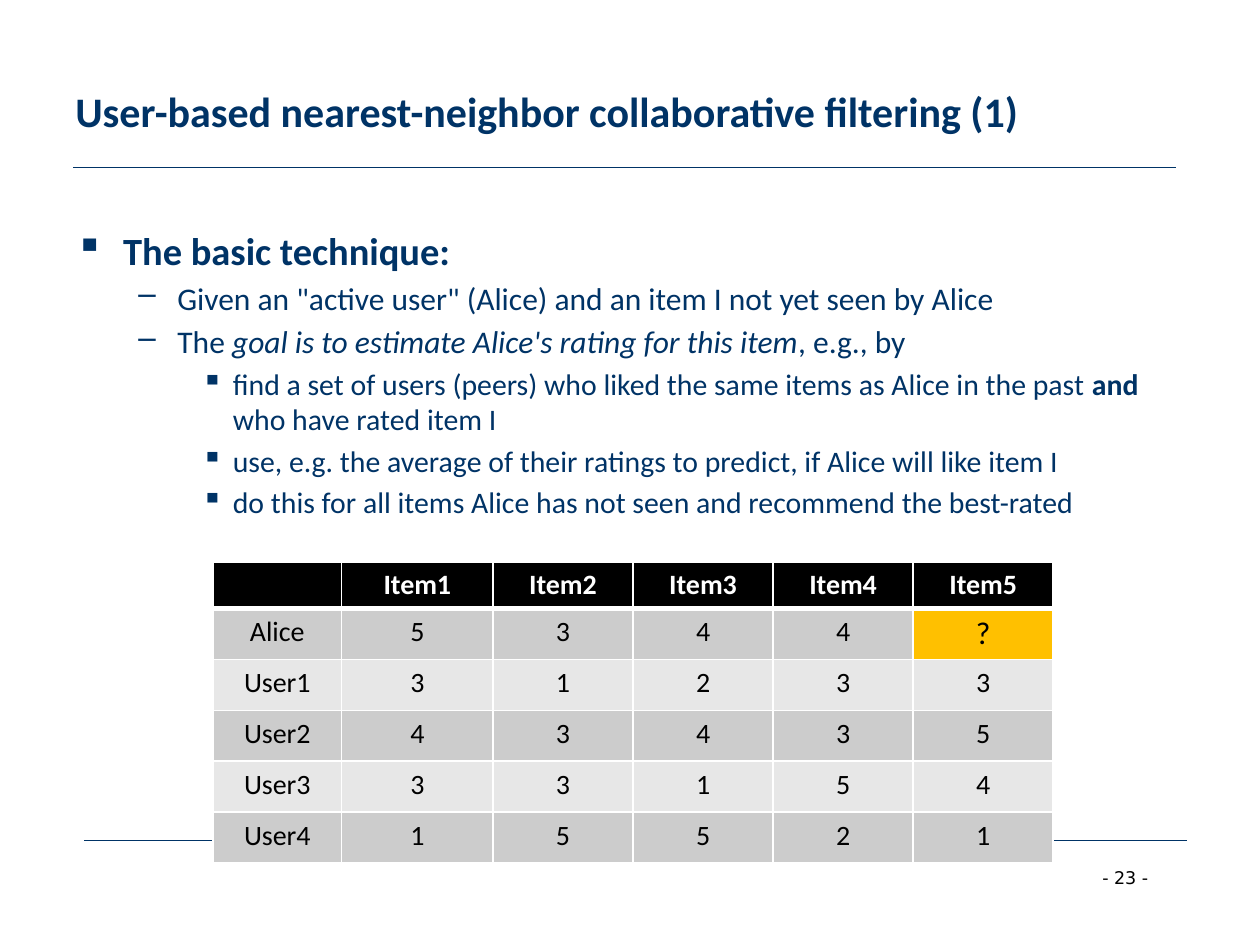
from lxml import etree
from pptx import Presentation
from pptx import util as u
from pptx.dml.color import RGBColor
from pptx.enum import shapes, text
from pptx.oxml import ns

Inches, Pt = u.Inches, u.Pt
FONT = "Calibri"
COLORS = {"navy": "003366", "black": "000000", "white": "FFFFFF",
          "dark_band": "CCCCCC", "light_band": "E7E7E7", "highlight": "FFC000"}
LEVELS = [
    {"left": 0.38, "hang": 0.38, "size": 22, "before": 0, "mark": "▪", "bold": True},
    {"left": 0.81, "hang": 0.31, "size": 18, "before": 3.3, "mark": "–", "bold": False},
    {"left": 1.25, "hang": 0.25, "size": 17, "before": 3.1, "mark": "▪", "bold": False},
]
OUTLINE = [
    (0, [("The basic technique:", "")]),
    (1, [("Given an \"active user\" (Alice) and an item I not yet seen by Alice", "")]),
    (1, [("The ", ""), ("goal is to estimate Alice's rating for this item", "italic"),
         (", e.g., by", "")]),
    (2, [("find a set of users (peers) who liked the same items as Alice in the past ", ""),
         ("and ", "bold"), ("who have rated item I", "")]),
    (2, [("use, e.g. the average of their ratings to predict, if Alice will like item I", "")]),
    (2, [("do this for all items Alice has not seen and recommend the best-rated", "")]),
]
RATINGS = [
    ["", "Item1", "Item2", "Item3", "Item4", "Item5"],
    ["Alice", "5", "3", "4", "4", "?"],
    ["User1", "3", "1", "2", "3", "3"],
    ["User2", "4", "3", "4", "3", "5"],
    ["User3", "3", "3", "1", "5", "4"],
    ["User4", "1", "5", "5", "2", "1"],
]
COLUMN_WIDTHS = [1.02, 1.2] + [1.11] * 4


def rgb(name):
    """Return the named colour."""
    return RGBColor.from_string(COLORS[name])


def add_span(para, words, size, color="navy", font=FONT, bold=False, italic=False):
    """Append one formatted run to a paragraph."""
    span = para.add_run()
    span.text = words
    span.font.name, span.font.size = font, Pt(size)
    span.font.bold, span.font.italic = bold, italic
    span.font.color.rgb = rgb(color)


def add_box(page, left, top, width, height, wrap=True):
    """Add a text box and return its frame."""
    box = page.shapes.add_textbox(Inches(left), Inches(top), Inches(width), Inches(height))
    box.text_frame.word_wrap = wrap
    return box.text_frame


def add_rule(page, left, top, width):
    """Draw a thin horizontal rule."""
    rule = page.shapes.add_connector(shapes.MSO_CONNECTOR.STRAIGHT, Inches(left), Inches(top),
                                     Inches(left + width), Inches(top))
    rule.line.color.rgb = rgb("navy")
    rule.line.width = Pt(0.75)
    etree.SubElement(rule._element.spPr, ns.qn("a:effectLst"))


def add_title(page, left, top, width, height):
    """Place the slide title, centred vertically in its box."""
    frame = add_box(page, left, top, width, height)
    frame.vertical_anchor = text.MSO_ANCHOR.MIDDLE
    add_span(frame.paragraphs[0], "User-based nearest-neighbor collaborative filtering (1)",
             24, bold=True)


def add_outline(page, left, top, width, height):
    """Place the three-level bulleted outline."""
    frame = add_box(page, left, top, width, height)
    for index, (depth, spans) in enumerate(OUTLINE):
        para = frame.paragraphs[0] if index == 0 else frame.add_paragraph()
        level = LEVELS[depth]
        para.level = depth
        para.space_before = Pt(level["before"])
        props = para._p.get_or_add_pPr()
        props.set("marL", str(Inches(level["left"])))
        props.set("indent", str(-Inches(level["hang"])))
        etree.SubElement(props, ns.qn("a:buChar"), char=level["mark"])
        for words, style in spans:
            add_span(para, words, level["size"], bold=level["bold"] or style == "bold",
                     italic=style == "italic")


def set_borders(cell, bottom):
    """Give a cell white borders with the stated bottom weight."""
    props = cell._tc.get_or_add_tcPr()
    for side, weight in (("L", 1), ("R", 1), ("T", 1), ("B", bottom)):
        line = etree.SubElement(props, ns.qn("a:ln" + side), w=str(Pt(weight)))
        fill = etree.SubElement(line, ns.qn("a:solidFill"))
        etree.SubElement(fill, ns.qn("a:srgbClr"), val=COLORS["white"])


def fill_cell(cell, words, row):
    """Fill and label one rating cell."""
    header, unknown = row == 0, words == "?"
    band = "black" if header else "dark_band" if row % 2 else "light_band"
    set_borders(cell, 3 if header else 1)
    cell.fill.solid()
    cell.fill.fore_color.rgb = rgb("highlight" if unknown else band)
    para = cell.text_frame.paragraphs[0]
    para.alignment = text.PP_ALIGN.CENTER
    if words:
        add_span(para, words, 18 if unknown else 16, "white" if header else "black", bold=header)
    else:
        etree.SubElement(para._p, ns.qn("a:endParaRPr"), sz="1600")


def add_ratings(page, left, top, width, height):
    """Place the user-item rating table."""
    header_height = 0.37
    table = page.shapes.add_table(len(RATINGS), len(COLUMN_WIDTHS), Inches(left), Inches(top),
                                  Inches(width), Inches(height)).table
    for column, share in zip(table.columns, COLUMN_WIDTHS):
        column.width = Inches(width * share / sum(COLUMN_WIDTHS))
    for row, values in enumerate(RATINGS):
        body_height = (height - header_height) / (len(RATINGS) - 1)
        table.rows[row].height = Inches(body_height if row else header_height)
        for column, words in enumerate(values):
            fill_cell(table.cell(row, column), words, row)


def add_page_number(page, left, top, width, height):
    """Place the page number."""
    frame = add_box(page, left, top, width, height, wrap=False)
    add_span(frame.paragraphs[0], "- 23 -", 10, "black", "DejaVu Sans")


def main():
    """Build and save the deck."""
    deck = Presentation()
    deck.slide_width, deck.slide_height = Inches(10), Inches(7.5)
    page = deck.slides.add_slide(deck.slide_layouts[6])
    add_rule(page, 0.58, 1.33, 8.75)
    add_page_number(page, 8.65, 6.83, 0.76, 0.27)
    add_rule(page, 0.67, 6.67, 8.75)
    add_title(page, 0.5, 0.25, 9, 1.25)
    add_outline(page, 0.5, 1.75, 9, 4.95)
    add_ratings(page, 1.69, 4.46, 6.67, 2.39)
    deck.save("out.pptx")


if __name__ == "__main__":
    main()
